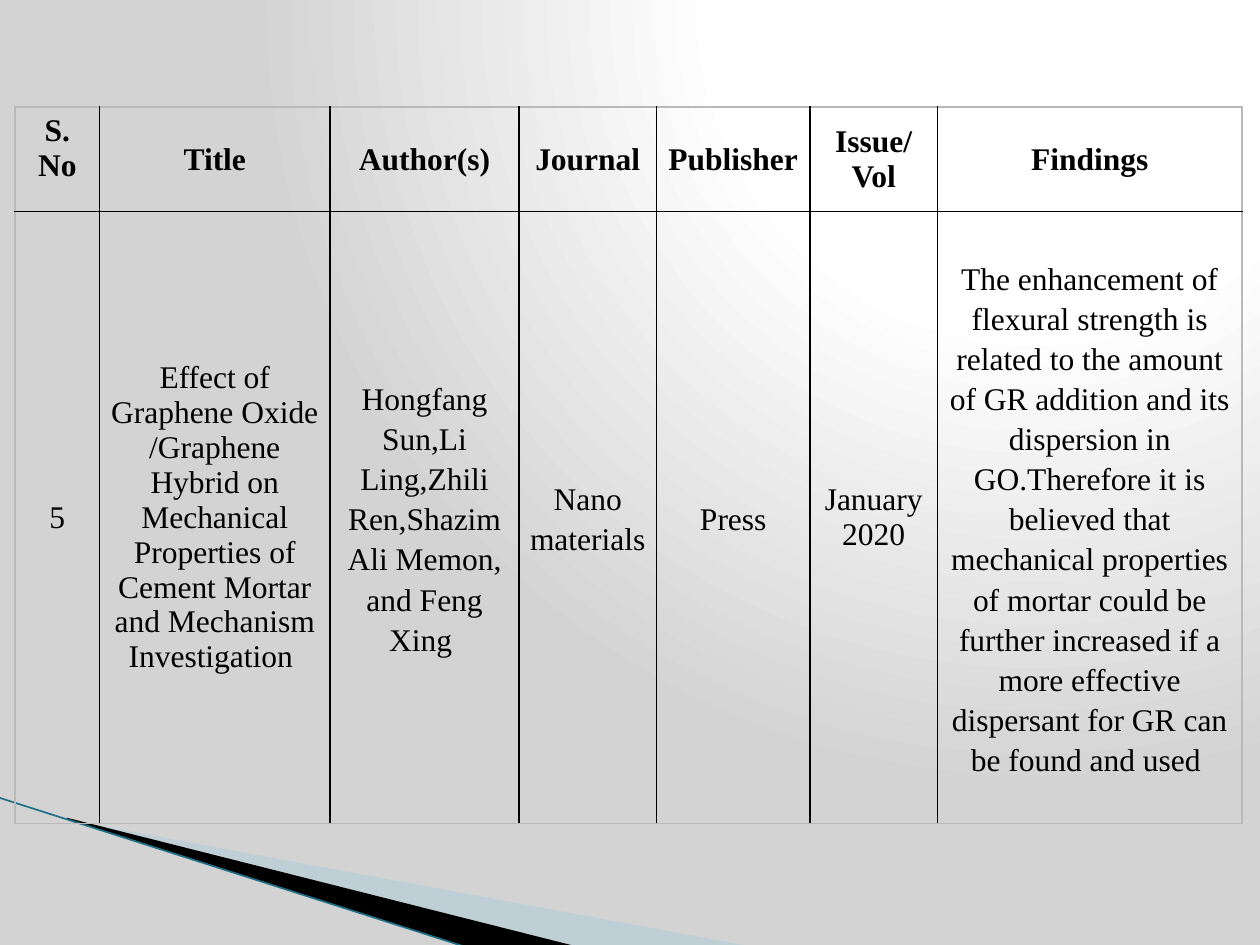
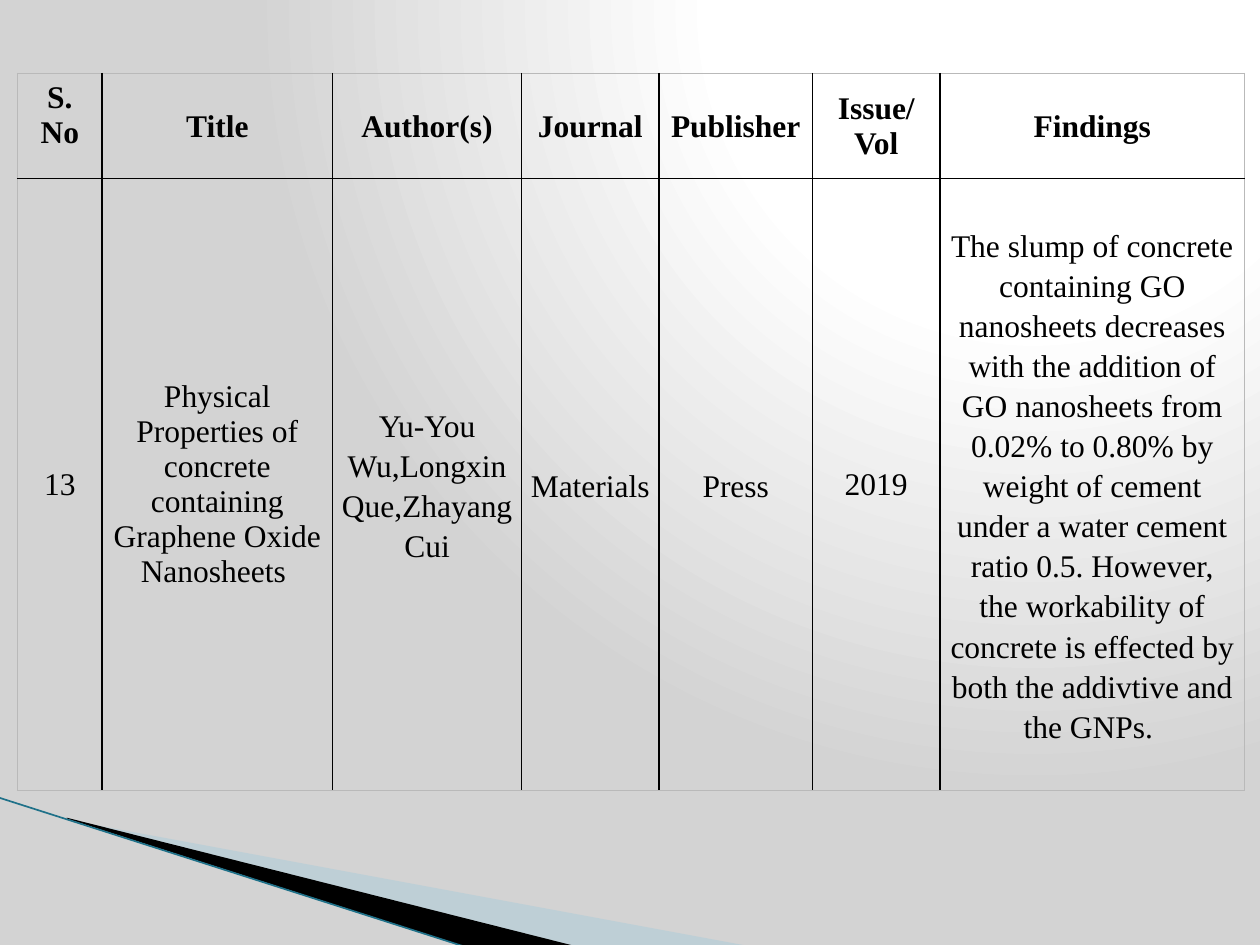
import dataclasses

import lxml.etree
import pptx
import pptx.dml.color
import pptx.enum.shapes
import pptx.enum.text
import pptx.oxml
import pptx.oxml.ns
import pptx.util

NS = 'xmlns:a="http://schemas.openxmlformats.org/drawingml/2006/main"'
NSP = 'xmlns:p="http://schemas.openxmlformats.org/presentationml/2006/main"'


@dataclasses.dataclass(frozen=True)
class Theme:
    """Hold the colours, type and sizes that the slides share."""
    wide: float = 10
    high: float = 7.5
    font: str = "Times New Roman"
    size: float = 18
    loose: float = 1.15
    ink: str = "000000"
    edge: str = "B9B9B9"
    pale: str = "A0CBDC"
    teal: str = "1F7189"
    glow: str = "FFFFFF"
    dusk: str = "D3D3D3"
    rule: float = 1
    thin: float = 0.95


T = Theme()
COLS = (0.67, 1.83, 1.5, 1.09, 1.22, 1.01, 2.42)
ROWS = (0.83, 4.86)
LOOSE = (2, 3, 4, 6)
HEAD = ("S. No", "Title", "Author(s)", "Journal", "Publisher",
        "Issue/ Vol", "Findings")
PAPERS = (
    (1.2, 11.3, (
        "5",
        "Effect of Graphene Oxide /Graphene Hybrid on Mechanical Properties "
        "of Cement Mortar and Mechanism Investigation ",
        "Hongfang Sun,Li Ling,Zhili Ren,Shazim Ali Memon, and Feng Xing ",
        "Nano materials", "Press", "January 2020",
        "The enhancement of flexural strength is related to the amount of GR "
        "addition and its dispersion in GO.Therefore it is believed that "
        "mechanical properties of mortar could be further increased if a more "
        "effective dispersant for GR can be found and used ")),
    (1.4, 7.8, (
        "13",
        "Physical Properties of concrete containing Graphene Oxide Nanosheets ",
        "Yu-You Wu,Longxin Que,Zhayang Cui",
        "Materials", "Press", "2019",
        "The slump of concrete containing GO nanosheets decreases with the "
        "addition of GO nanosheets from 0.02% to 0.80% by weight of cement "
        "under a water cement ratio 0.5. However, the workability of concrete "
        "is effected by both the addivtive and the GNPs. ")),
)
PALE = ((5.5, 86.8), (59.5, 100.13), (45.6, 100.13), (5.5, 86.67))
DARK = ((5.3, 86.53), (45.7, 100.13), (37.2, 100.27), (5.4, 86.67))
LINE = ((-0.1, 84.4), (37.1, 100.27))


def spot(x, y):
    """Turn percent shares of the slide into a point."""
    return (pptx.util.Inches(T.wide * x / 100),
            pptx.util.Inches(T.high * y / 100))


def tint(text):
    """Make a colour from its hex text."""
    return pptx.dml.color.RGBColor.from_string(text)


def put(frame, text, bold=False, lead=None):
    """Write centred text in a frame."""
    para = frame.paragraphs[0]
    para.alignment = pptx.enum.text.PP_ALIGN.CENTER
    if lead:
        para.line_spacing = lead
    run = para.add_run()
    run.text = text
    run.font.name = T.font
    run.font.size = pptx.util.Pt(T.size)
    run.font.bold = bold
    run.font.color.rgb = tint(T.ink)


def blade(shapes, points, color, alpha=100):
    """Draw a filled outline without a line."""
    first, *rest = [spot(*point) for point in points]
    pen = shapes.build_freeform(*first, scale=1.0)
    pen.add_line_segments(rest, close=True)
    shape = pen.convert_to_shape()
    shape.shadow.inherit = False
    shape.line.fill.background()
    shape.fill.solid()
    shape.fill.fore_color.rgb = tint(color)
    if alpha < 100:
        fill = shape.element.find(".//" + pptx.oxml.ns.qn("a:srgbClr"))
        lxml.etree.SubElement(fill, pptx.oxml.ns.qn("a:alpha"),
                              val=str(alpha * 1000))
    return shape


def streak(shapes, start, end):
    """Draw a thin straight line."""
    line = shapes.add_connector(pptx.enum.shapes.MSO_CONNECTOR.STRAIGHT,
                                *spot(*start), *spot(*end))
    line.line.color.rgb = tint(T.teal)
    line.line.width = pptx.util.Pt(T.thin)
    lxml.etree.SubElement(line.element.spPr, pptx.oxml.ns.qn("a:effectLst"))
    return line


def dress(layout, shapes):
    """Give the layout its glow and its corner blades."""
    stops = "".join(
        f'<a:gs pos="{pos * 1000}"><a:srgbClr val="{color}"/></a:gs>'
        for pos, color in ((0, T.glow), (40, T.glow), (100, T.dusk)))
    layout.element.cSld.insert(0, pptx.oxml.parse_xml(
        f'<p:bg {NS} {NSP}><p:bgPr><a:gradFill rotWithShape="1">'
        f'<a:gsLst>{stops}</a:gsLst><a:path path="circle">'
        '<a:fillToRect l="65000" t="0" r="0" b="98000"/></a:path>'
        '</a:gradFill><a:effectLst/></p:bgPr></p:bg>'))
    parts = (blade(shapes, PALE, T.pale, alpha=40),
             blade(shapes, DARK, T.ink), streak(shapes, *LINE))
    for part in parts:
        layout.shapes.element.append(part.element)


def frame(cell, row, col):
    """Rule a cell, paler on the outer edge of the table."""
    outer = {"L": col == 0, "R": col == len(COLS) - 1,
             "T": row == 0, "B": row == len(ROWS) - 1}
    props = cell._tc.get_or_add_tcPr()
    for side, out in outer.items():
        color = T.edge if out else T.ink
        props.append(pptx.oxml.parse_xml(
            f'<a:ln{side} {NS} w="{int(T.rule * 12700)}"><a:solidFill>'
            f'<a:srgbClr val="{color}"/></a:solidFill></a:ln{side}>'))
    cell.fill.background()


def inset(cell, side, top):
    """Set the margins of a cell in inches."""
    cell.margin_left = cell.margin_right = pptx.util.Inches(side)
    cell.margin_top = pptx.util.Inches(top)
    cell.margin_bottom = 0


def grid(shapes, left, top, body):
    """Add the table of one paper."""
    size = [pptx.util.Inches(sum(part)) for part in (COLS, ROWS)]
    table = shapes.add_table(len(ROWS), len(COLS), *spot(left, top),
                             *size).table
    table.first_row = table.horz_banding = False
    for items, sizes, key in ((table.columns, COLS, "width"),
                              (table.rows, ROWS, "height")):
        for item, length in zip(items, sizes):
            setattr(item, key, pptx.util.Inches(length))
    for row, texts in enumerate((HEAD, body)):
        for col, text in enumerate(texts):
            cell = table.cell(row, col)
            frame(cell, row, col)
            if row or col:
                cell.vertical_anchor = pptx.enum.text.MSO_ANCHOR.MIDDLE
            if col:
                inset(cell, *((0.07, 0) if row else (0.01, 0.01)))
            put(cell.text_frame, text, bold=row == 0,
                lead=T.loose if row and col in LOOSE else None)


def main():
    """Build the deck."""
    deck = pptx.Presentation()
    deck.slide_width, deck.slide_height = spot(100, 100)
    layout = deck.slide_layouts[6]
    slides = [deck.slides.add_slide(layout) for _ in PAPERS]
    dress(layout, slides[0].shapes)
    for slide, paper in zip(slides, PAPERS):
        grid(slide.shapes, *paper)
    deck.save("out.pptx")


main()
